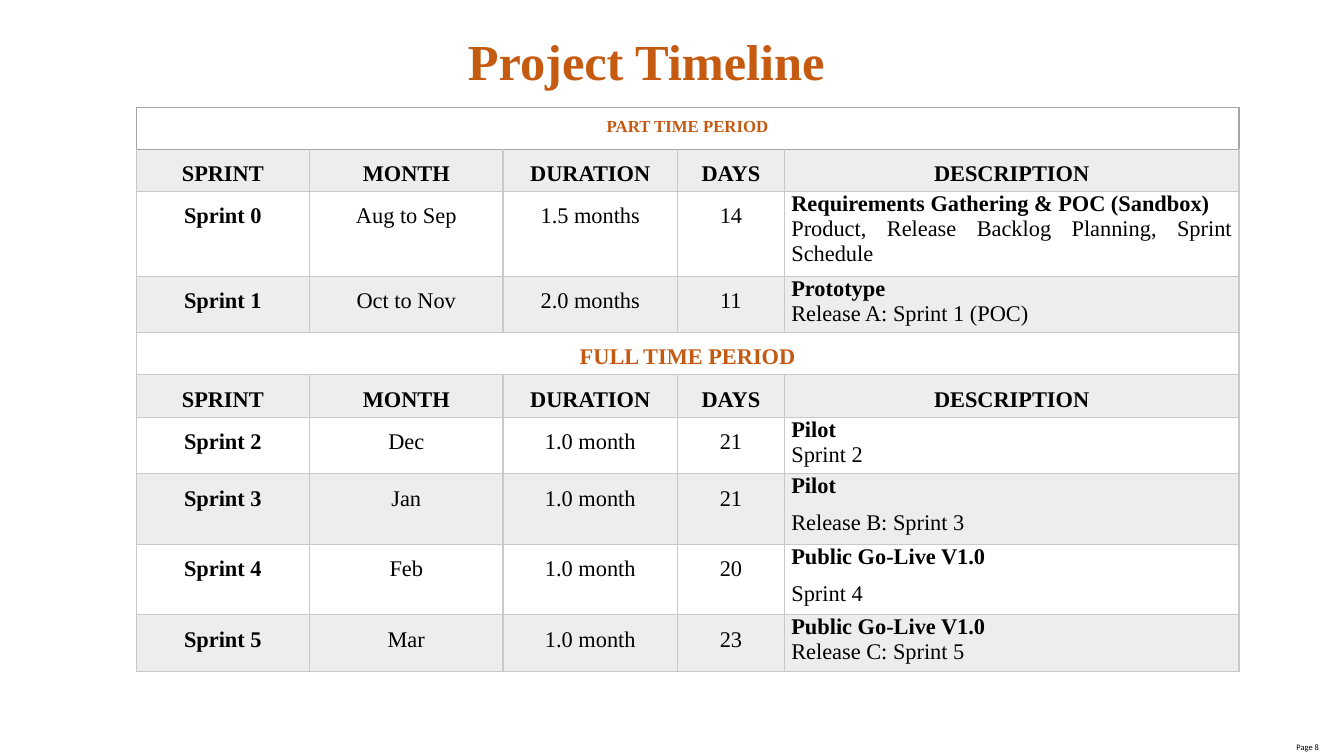
from lxml import etree
from pptx import Presentation
from pptx.dml.color import RGBColor
from pptx.enum import text
from pptx.oxml import ns
from pptx.util import Inches, Pt

COLORS = {"title": "C55A11", "period": "C45911", "ink": "000000", "white": "FFFFFF",
          "band": "EDEDED", "grid": "C9C9C9", "top_grid": "A5A5A5"}
SERIF = "Times New Roman"
HEADINGS = ["SPRINT", "MONTH", "DURATION", "DAYS", "DESCRIPTION"]
PERIODS = [
    ("PART TIME PERIOD", 12, 0.41, [
        ("Sprint 0", "Aug to Sep", "1.5 months", "14", "Requirements Gathering & POC (Sandbox)",
         "Product, Release Backlog Planning, Sprint Schedule", 1, 0.84),
        ("Sprint 1", "Oct to Nov", "2.0 months", "11", "Prototype",
         "Release A: Sprint 1 (POC)", 1, 0.56),
    ]),
    ("FULL TIME PERIOD", 16, 0.42, [
        ("Sprint 2", "Dec", "1.0 month", "21", "Pilot", "Sprint 2", 1, 0.56),
        ("Sprint 3", "Jan", "1.0 month", "21", "Pilot", "Release B: Sprint 3", 1.5, 0.7),
        ("Sprint 4", "Feb", "1.0 month", "20", "Public Go-Live V1.0", "Sprint 4", 1.5, 0.7),
        ("Sprint 5", "Mar", "1.0 month", "23", "Public Go-Live V1.0",
         "Release C: Sprint 5", 1, 0.56),
    ]),
]
COLUMN_WIDTHS = [1.72, 1.92, 1.73, 1.06, 4.51]
HEADING_HEIGHT = 0.42
TABLE_LEFT, TABLE_TOP = 1.35, 1.07


def write(paragraph, words, size=16, bold=False, color="ink", font=SERIF,
          align=text.PP_ALIGN.CENTER, spacing=None):
    """Put formatted words into a paragraph."""
    paragraph.alignment = align
    if spacing:
        paragraph.line_spacing = float(spacing)
    run = paragraph.add_run()
    run.text = words
    run.font.size, run.font.bold, run.font.name = Pt(size), bold, font
    run.font.color.rgb = RGBColor.from_string(COLORS[color])


def style_cell(cell, fill, edges):
    """Give a cell its margins, borders and fill."""
    cell.margin_left = cell.margin_right = Inches(0.07)
    cell.margin_top = cell.margin_bottom = 0
    properties = cell._tc.get_or_add_tcPr()
    for side, color in edges.items():
        line = etree.SubElement(properties, ns.qn(f"a:ln{side}"), w=str(Pt(1)))
        solid = etree.SubElement(line, ns.qn("a:solidFill"))
        etree.SubElement(solid, ns.qn("a:srgbClr"), val=COLORS[color])
    cell.fill.solid()
    cell.fill.fore_color.rgb = RGBColor.from_string(COLORS[fill])


def add_label(slide, box, words, wrap=True, **style):
    """Add a one-line text box."""
    frame = slide.shapes.add_textbox(*map(Inches, box)).text_frame
    frame.word_wrap = wrap
    write(frame.paragraphs[0], words, **style)


def table_rows():
    """List each row as height, fill, kind and content."""
    rows = []
    for name, size, height, sprints in PERIODS:
        rows.append((height, "white", "period", (name, size)))
        rows.append((HEADING_HEIGHT, "band", "headings", HEADINGS))
        for index, sprint in enumerate(sprints):
            rows.append((sprint[-1], "band" if index % 2 else "white", "sprint", sprint))
    return rows


def fill_row(cells, kind, content):
    """Write the text of one row."""
    if kind == "period":
        cells[0].merge(cells[-1])
        name, size = content
        write(cells[0].text_frame.paragraphs[0], name, size=size, bold=True,
              color="period", spacing=1.5)
        return
    centered = content if kind == "headings" else content[:4]
    for column, words in enumerate(centered):
        write(cells[column].text_frame.paragraphs[0], words,
              bold=kind == "headings" or column == 0, spacing=1.5)
    if kind == "sprint":
        stage, detail, spacing = content[4:7]
        description = cells[4].text_frame
        justify = text.PP_ALIGN.JUSTIFY
        write(description.paragraphs[0], stage, bold=True, align=justify)
        write(description.add_paragraph(), detail, align=justify, spacing=spacing)


def add_timeline(slide):
    """Build the sprint table."""
    rows = table_rows()
    size = sum(COLUMN_WIDTHS), sum(row[0] for row in rows)
    frame = slide.shapes.add_table(len(rows), len(COLUMN_WIDTHS),
                                   *map(Inches, (TABLE_LEFT, TABLE_TOP, *size)))
    timeline = frame.table
    timeline.first_row = timeline.horz_banding = False
    for column, width in zip(timeline.columns, COLUMN_WIDTHS):
        column.width = Inches(width)
    for index, (height, fill, kind, content) in enumerate(rows):
        timeline.rows[index].height = Inches(height)
        edges = dict.fromkeys("LRTB", "top_grid" if index == 0 else "grid")
        if index == 1:
            edges["T"] = "top_grid"
        cells = list(timeline.rows[index].cells)
        for cell in cells:
            style_cell(cell, fill, edges)
        fill_row(cells, kind, content)


def main():
    """Build and save the slide."""
    deck = Presentation()
    deck.slide_width, deck.slide_height = Inches(13.33), Inches(7.5)
    slide = deck.slides.add_slide(deck.slide_layouts[6])
    add_label(slide, (12.65, 7.31, 0.53, 0.2), "Page 8", wrap=False, size=6,
              font="Calibri", align=text.PP_ALIGN.RIGHT)
    add_timeline(slide)
    add_label(slide, (2.55, 0.25, 7.72, 0.71), "Project Timeline", size=36,
              bold=True, color="title")
    deck.save("out.pptx")


if __name__ == "__main__":
    main()
